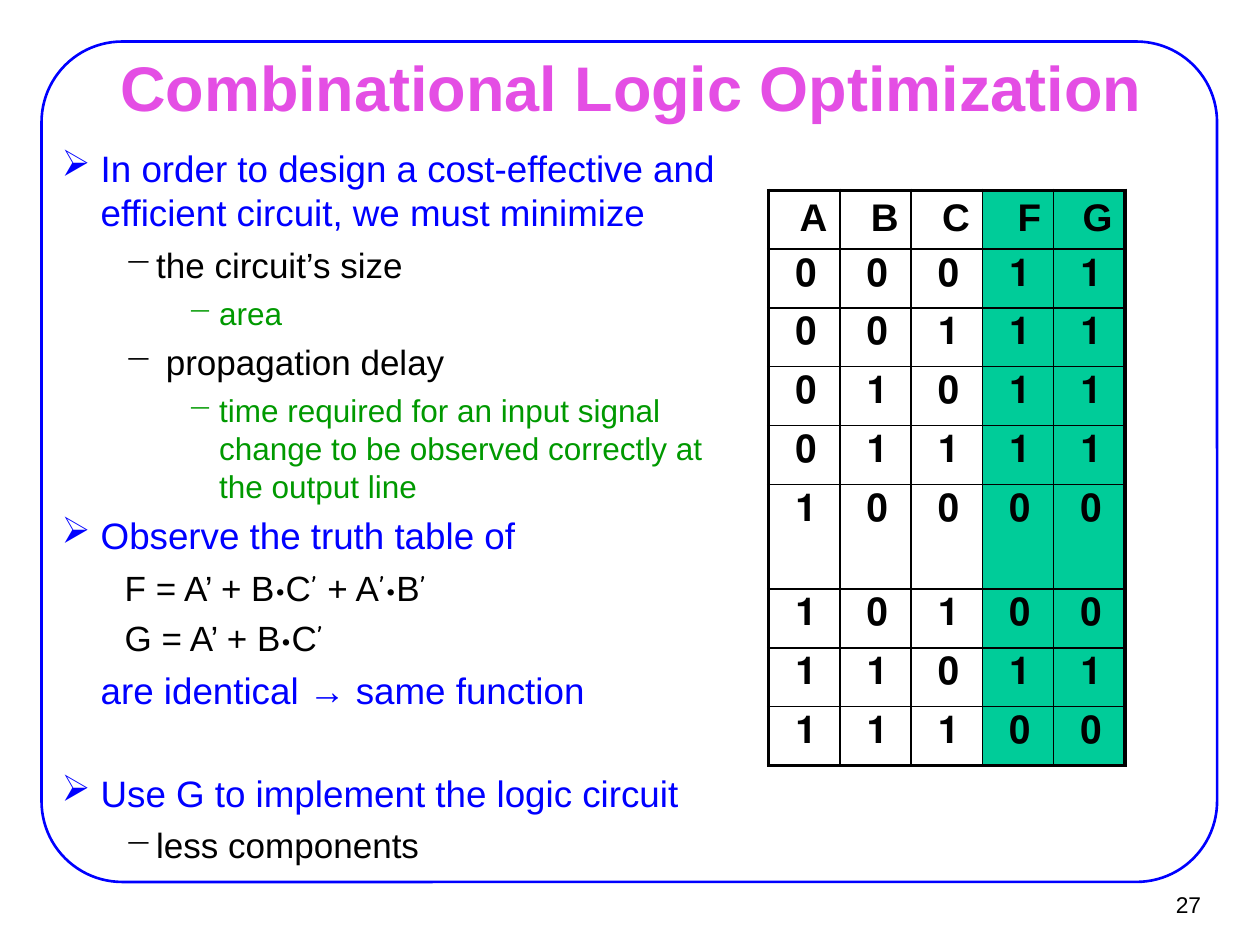
from lxml import etree
from pptx import Presentation
from pptx.dml.color import RGBColor
from pptx.enum.shapes import MSO_SHAPE
from pptx.enum.text import MSO_ANCHOR, PP_ALIGN
from pptx.oxml.ns import qn
from pptx.util import Inches, Pt

ROUND = MSO_SHAPE.ROUNDED_RECTANGLE
MIDDLE = MSO_ANCHOR.MIDDLE
TOP = MSO_ANCHOR.TOP
CENTER = PP_ALIGN.CENTER
RIGHT = PP_ALIGN.RIGHT

BLUE = RGBColor(0x00, 0x00, 0xFF)
PINK = RGBColor(0xE4, 0x4E, 0xE4)
GREEN = RGBColor(0x00, 0x99, 0x00)
TEAL = RGBColor(0x00, 0xCC, 0x99)
BLACK = RGBColor(0x00, 0x00, 0x00)

SANS = "Arial"
COMIC = "Comic Neue"
THIN = Pt(1)
THICK = Pt(2.25)

# level: margin, indent, bullet, size, colour
LEVELS = {
    "point": (0.81, -0.31, "➢", 21, BLUE),
    "plain": (0.81, 0, None, 21, BLUE),
    "item": (1.25, -0.25, "−", 20, BLACK),
    "math": (1, 0, None, 20, BLACK),
    "detail": (1.75, -0.25, "−", 18, GREEN),
}

# level, space before, texts that alternate between the two fonts
LINES = [
    ("point", 0, ["In order to design a cost-effective and efficient circuit, "
                  "we must minimize"]),
    ("item", 5, ["the circuit’s size"]),
    ("detail", 5, ["area"]),
    ("item", 5, [" propagation delay"]),
    ("detail", 5, ["time required for an input signal change to be observed "
                   "correctly at the output line"]),
    ("point", 5, ["Observe the truth table of"]),
    ("math", 5, ["F = A’ + B", "•", "C", "’", " + A", "’•", "B", "’"]),
    ("math", 5, ["G = A’ + B", "•", "C", "’"]),
    ("plain", 5, ["are identical → same function"]),
    ("point", 34, ["Use G to implement the logic circuit"]),
    ("item", 5, ["less components"]),
]

HEADS = "ABCFG"
TRUTH = ["00011", "00111", "01011", "01111", "10000", "10100", "11011", "11100"]
INPUTS = 3
TALL = 5


def style(para, size, color, bold=False):
    font = para.font
    font.name, font.size, font.bold = SANS, Pt(size), bold
    font.color.rgb = color


def add_box(slide, box, anchor, side, edge):
    frame = slide.shapes.add_textbox(*map(Inches, box)).text_frame
    frame.word_wrap = True
    frame.vertical_anchor = anchor
    frame.margin_left = frame.margin_right = Inches(side)
    frame.margin_top = frame.margin_bottom = Inches(edge)
    return frame


def add_frame(slide, box):
    shape = slide.shapes.add_shape(ROUND, *map(Inches, box))
    shape.adjustments[0] = 0.096
    shape.shadow.inherit = False
    shape.fill.background()
    shape.line.color.rgb = BLUE
    shape.line.width = Pt(1.5)


def add_label(slide, box, text, size, color, align, bold=False):
    para = add_box(slide, box, MIDDLE, 0.1, 0.05).paragraphs[0]
    para.text = text
    para.alignment = align
    style(para, size, color, bold)


def add_body(slide, box):
    frame = add_box(slide, box, TOP, 0.11, 0.06)
    for row, (level, gap, parts) in enumerate(LINES):
        margin, indent, mark, size, color = LEVELS[level]
        para = frame.add_paragraph() if row else frame.paragraphs[0]
        props = para._p.get_or_add_pPr()
        props.set("marL", str(Inches(margin)))
        props.set("indent", str(Inches(indent)))
        if mark:
            etree.SubElement(props, qn("a:buChar")).set("char", mark)
        else:
            etree.SubElement(props, qn("a:buNone"))
        para.space_before = Pt(gap)
        style(para, size, color)
        for turn, text in enumerate(parts):
            run = para.add_run()
            run.text = text
            if turn % 2:
                run.font.name = COMIC


def set_edges(cell, widths):
    props = cell._tc.get_or_add_tcPr()
    for spot, (side, width) in enumerate(zip("LRTB", widths)):
        line = etree.Element(qn(f"a:ln{side}"), w=str(width))
        fill = etree.SubElement(line, qn("a:solidFill"))
        etree.SubElement(fill, qn("a:srgbClr"), val=str(BLACK))
        props.insert(spot, line)


def add_truth(slide, box):
    rows = [list(HEADS)] + [[f" {bit}" for bit in bits] for bits in TRUTH]
    high, wide = len(rows), len(HEADS)
    table = slide.shapes.add_table(high, wide, *map(Inches, box)).table
    table.first_row = table.horz_banding = False
    for col in table.columns:
        col.width = Inches(box[2] / wide)
    for r, texts in enumerate(rows):
        table.rows[r].height = Inches(0.83 if r == TALL else 0.46)
        for c, text in enumerate(texts):
            cell = table.cell(r, c)
            if c < INPUTS:
                cell.fill.background()
            else:
                cell.fill.solid()
                cell.fill.fore_color.rgb = TEAL
            outer = (c == 0, c == wide - 1, r == 0, r == high - 1)
            set_edges(cell, [THICK if edge else THIN for edge in outer])
            para = cell.text_frame.paragraphs[0]
            para.text = text
            para.alignment = RIGHT
            para._p.get_or_add_pPr().set("rtl", "1")
            style(para, 22, BLACK, True)


def main():
    deck = Presentation()
    deck.slide_width, deck.slide_height = Inches(10), Inches(7.5)
    slide = deck.slides.add_slide(deck.slide_layouts[6])
    add_frame(slide, (0.33, 0.33, 9.33, 6.67))
    add_label(slide, (9.02, 6.99, 0.61, 0.37), "27", 13, BLACK, RIGHT)
    add_label(slide, (0.76, 0.44, 8.5, 0.49), "Combinational Logic Optimization",
              36, PINK, CENTER, True)
    add_body(slide, (-0.12, 1.1, 6.14, 4.95))
    add_truth(slide, (6.1, 1.51, 2.83, 4.5))
    deck.save("out.pptx")


if __name__ == "__main__":
    main()
